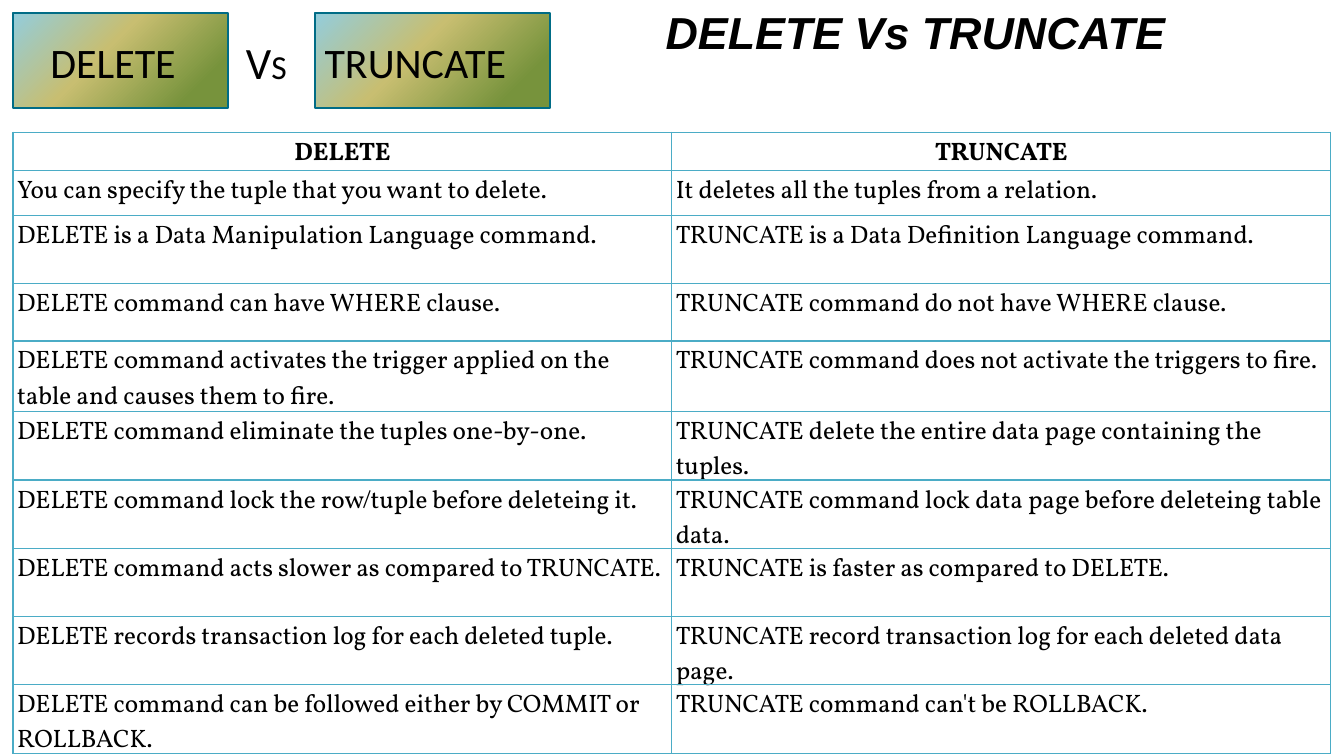
from lxml import etree
from pptx import Presentation
from pptx import util as u
from pptx.dml.color import RGBColor
from pptx.enum import shapes, text
from pptx.oxml import ns, parse_xml

A = ns.nsdecls("a")
GRADIENT = [(16, "77933C"), (58, "C8BE71"), (100, "93CDDD")]
ROW_HEIGHTS = [0.94, 1.14, 1.71, 1.45, 1.78] + [1.71] * 5
COMPARISON = [
    ("DELETE", "TRUNCATE"),
    ("You can specify the tuple that you want to delete.",
     "It deletes all the tuples from a relation."),
    ("DELETE is a Data Manipulation Language command.",
     "TRUNCATE is a Data Definition Language command."),
    ("DELETE command can have WHERE clause.",
     "TRUNCATE command do not have WHERE clause."),
    ("DELETE command activates the trigger applied on the table and causes them to fire.",
     "TRUNCATE command does not activate the triggers to fire."),
    ("DELETE command eliminate the tuples one-by-one.",
     "TRUNCATE delete the entire data page containing the tuples."),
    ("DELETE command lock the row/tuple before deleteing it.",
     "TRUNCATE command lock data page before deleteing table data."),
    ("DELETE command acts slower as compared to TRUNCATE.",
     "TRUNCATE is faster as compared to DELETE."),
    ("DELETE records transaction log for each deleted tuple.",
     "TRUNCATE record transaction log for each deleted data page."),
    ("DELETE command can be followed either by COMMIT or ROLLBACK.",
     "TRUNCATE command can't be ROLLBACK."),
]


def color(value):
    return RGBColor.from_string(value)


def cm(*lengths):
    return [u.Cm(length) for length in lengths]


class ComparisonSlide:
    ink = "000000"
    rule = "4BACC6"
    outline = "006C86"

    def __init__(self, deck):
        self.page = deck.slides.add_slide(deck.slide_layouts[5])

    def add_span(self, para, words, size, font, bold=False, italic=False):
        span = para.add_run()
        span.text = words
        span.font.name, span.font.size = font, u.Pt(size)
        span.font.bold, span.font.italic = bold, italic
        span.font.color.rgb = color(self.ink)

    def title(self, words, left, top, width, height):
        box = self.page.shapes.title
        box.left, box.top, box.width, box.height = cm(left, top, width, height)
        box.fill.solid()
        box.fill.fore_color.rgb = color("FFFFFF")
        frame = box.text_frame
        frame.vertical_anchor = text.MSO_ANCHOR.TOP
        frame.auto_size = text.MSO_AUTO_SIZE.SHAPE_TO_FIT_TEXT
        para = frame.paragraphs[0]
        para.alignment = text.PP_ALIGN.RIGHT
        self.add_span(para, words, 32, "Arial", bold=True, italic=True)

    def panel(self, group, left, top, width, height):
        box = group.shapes.add_shape(shapes.MSO_SHAPE.RECTANGLE,
                                     *cm(left, top, width, height))
        box.shadow.inherit = False
        box.line.color.rgb = color(self.outline)
        box.line.width = u.Pt(1.5)
        stops = "".join(f'<a:gs pos="{at * 1000}"><a:srgbClr val="{tone}"/></a:gs>'
                        for at, tone in GRADIENT)
        box.fill.gradient()
        gradient = box.element.spPr.find(ns.qn("a:gradFill"))
        gradient.getparent().replace(gradient, parse_xml(
            f'<a:gradFill {A} rotWithShape="1"><a:gsLst>{stops}</a:gsLst>'
            '<a:lin ang="13500000" scaled="0"/></a:gradFill>'))

    def label(self, group, spans, left, top, width, height, wrap=False):
        box = group.shapes.add_textbox(*cm(left, top, width, height))
        frame = box.text_frame
        frame.word_wrap = wrap
        frame.auto_size = text.MSO_AUTO_SIZE.SHAPE_TO_FIT_TEXT
        for words, size in spans:
            self.add_span(frame.paragraphs[0], words, size, "Calibri")

    def cell(self, cell, words, header):
        for side in "LRTB":
            line = etree.SubElement(cell._tc.get_or_add_tcPr(),
                                    ns.qn(f"a:ln{side}"), w=str(u.Pt(1)))
            fill = etree.SubElement(line, ns.qn("a:solidFill"))
            etree.SubElement(fill, ns.qn("a:srgbClr"), val=self.rule)
        cell.fill.background()
        cell.margin_left = cell.margin_right = u.Cm(0.1)
        cell.margin_top = cell.margin_bottom = u.Cm(0.1)
        para = cell.text_frame.paragraphs[0]
        if header:
            cell.vertical_anchor = text.MSO_ANCHOR.MIDDLE
            para.alignment = text.PP_ALIGN.CENTER
        self.add_span(para, words, 18, "Vollkorn", bold=header)

    def table(self, rows, heights, left, top, width):
        frame = self.page.shapes.add_table(
            len(rows), len(rows[0]), *cm(left, top, width, sum(heights)))
        table = frame.table
        table.first_row = table.horz_banding = False
        for index, (row, height) in enumerate(zip(rows, heights)):
            table.rows[index].height = u.Cm(height)
            for column, words in enumerate(row):
                self.cell(table.cell(index, column), words, header=index == 0)


def main():
    deck = Presentation()
    deck.slide_width, deck.slide_height = cm(33.87, 19.05)
    slide = ComparisonSlide(deck)
    slide.title("DELETE Vs TRUNCATE", 4.23, 0, 25.4, 1.62)

    heading = slide.page.shapes.add_group_shape()
    slide.panel(heading, 0.32, 0.32, 5.42, 2.4)
    slide.label(heading, [("DELETE", 30)], 1.02, 0.79, 3.7, 1.54)
    slide.panel(heading, 7.93, 0.32, 5.93, 2.4)
    slide.label(heading, [("TRUNCATE", 30)], 7.93, 0.79, 5.12, 1.54)
    slide.label(heading, [("V", 32), ("S", 24)], 5.95, 0.74, 2.06, 1.62, wrap=True)

    slide.table(COMPARISON, ROW_HEIGHTS, 0.33, 3.33, 33.2)
    deck.save("out.pptx")


if __name__ == "__main__":
    main()
